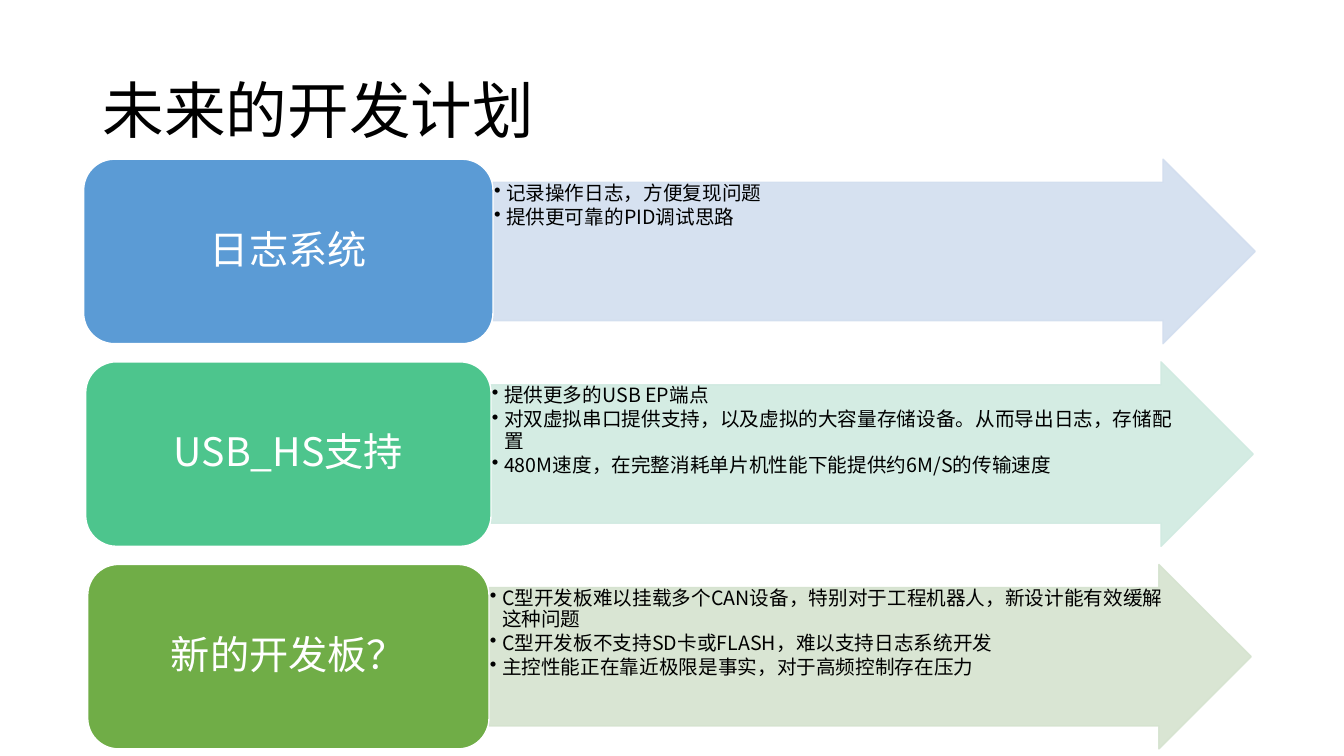
from dataclasses import dataclass

from lxml import etree
from pptx import Presentation
from pptx import util as u
from pptx.dml.color import RGBColor
from pptx.enum import shapes, text
from pptx.oxml.ns import qn


@dataclass(frozen=True)
class Theme:
    font: str = "Noto Sans CJK JP"
    ink: str = "000000"
    paper: str = "FFFFFF"
    title_size: float = 44
    label_size: float = 28
    detail_size: float = 14
    line_width: float = 1
    arrow_opacity: int = 90


@dataclass(frozen=True)
class Plan:
    label: str
    details: tuple[str, ...]
    label_color: str
    arrow_color: str


THEME = Theme()
PLANS = (
    Plan("日志系统",
         ("记录操作日志，方便复现问题", "提供更可靠的PID调试思路"),
         "5B9BD5", "D2DEEF"),
    Plan("USB_HS支持",
         ("提供更多的USB EP端点",
          "对双虚拟串口提供支持，以及虚拟的大容量存储设备。从而导出日志，存储配置",
          "480M速度，在完整消耗单片机性能下能提供约6M/S的传输速度"),
         "4DC58D", "D0EAE1"),
    Plan("新的开发板？",
         ("C型开发板难以挂载多个CAN设备，特别对于工程机器人，新设计能有效缓解这种问题",
          "C型开发板不支持SD卡或FLASH，难以支持日志系统开发",
          "主控性能正在靠近极限是事实，对于高频控制存在压力"),
         "70AD47", "D5E3CF"),
)
FIRST_TOP, ROW_PITCH, ROW_HEIGHT = 1.58, 2.01, 1.83
ARROW_WIDTH = 7.56


def style_paragraph(paragraph, size: float, color: str) -> None:
    paragraph.line_spacing = 0.9
    font = paragraph.font
    font.name, font.size = THEME.font, u.Pt(size)
    font.color.rgb = RGBColor.from_string(color)
    # East Asian characters need their own typeface entry
    defaults = paragraph._p.pPr.find(qn("a:defRPr"))
    etree.SubElement(defaults, qn("a:ea"), typeface=THEME.font)


def set_frame(frame, anchor, side: float, vertical: float) -> None:
    frame.word_wrap = True
    frame.vertical_anchor = anchor
    frame.margin_left = frame.margin_right = u.Inches(side)
    frame.margin_top = frame.margin_bottom = u.Inches(vertical)


def add_block(slide, preset, left: float, top: float, width: float, fill: str, line: str):
    block = slide.shapes.add_shape(preset, u.Inches(left), u.Inches(top),
                                   u.Inches(width), u.Inches(ROW_HEIGHT))
    block.shadow.inherit = False
    block.fill.solid()
    block.fill.fore_color.rgb = RGBColor.from_string(fill)
    block.line.color.rgb = RGBColor.from_string(line)
    block.line.width = u.Pt(THEME.line_width)
    return block


def add_title(slide, wording: str) -> None:
    title = slide.shapes.add_textbox(u.Inches(0.92), u.Inches(0.4),
                                     u.Inches(11.5), u.Inches(1.45))
    set_frame(title.text_frame, text.MSO_ANCHOR.MIDDLE, 0.1, 0.05)
    title.text_frame.text = wording
    style_paragraph(title.text_frame.paragraphs[0], THEME.title_size, THEME.ink)


def add_details(slide, plan: Plan, left: float, top: float) -> None:
    arrow = add_block(slide, shapes.MSO_SHAPE.RIGHT_ARROW, left, top, ARROW_WIDTH,
                      plan.arrow_color, plan.arrow_color)
    arrow.adjustments[0], arrow.adjustments[1] = 0.75, 0.5
    for color in arrow._element.spPr.iter(qn("a:srgbClr")):
        etree.SubElement(color, qn("a:alpha"), val=str(THEME.arrow_opacity * 1000))

    frame = arrow.text_frame
    set_frame(frame, text.MSO_ANCHOR.TOP, 0.01, 0.01)
    frame.text = "\n".join(plan.details)
    for paragraph in frame.paragraphs:
        paragraph.level = 1
        paragraph.alignment = text.PP_ALIGN.LEFT
        paragraph.space_after = u.Pt(2.1)
        properties = paragraph._p.get_or_add_pPr()
        properties.set("marL", str(u.Inches(0.12)))
        properties.set("indent", str(u.Inches(-0.12)))
        etree.SubElement(properties, qn("a:buChar"), char="•")
        style_paragraph(paragraph, THEME.detail_size, THEME.ink)


def add_label(slide, plan: Plan, left: float, top: float, width: float) -> None:
    label = add_block(slide, shapes.MSO_SHAPE.ROUNDED_RECTANGLE, left, top, width,
                      plan.label_color, THEME.paper)
    set_frame(label.text_frame, text.MSO_ANCHOR.MIDDLE, 0.12, 0.06)
    label.text_frame.text = plan.label
    paragraph = label.text_frame.paragraphs[0]
    paragraph.alignment = text.PP_ALIGN.CENTER
    style_paragraph(paragraph, THEME.label_size, THEME.paper)


def main() -> None:
    deck = Presentation()
    deck.slide_width, deck.slide_height = u.Inches(13.33), u.Inches(7.5)
    slide = deck.slides.add_slide(deck.slide_layouts[6])

    add_title(slide, "未来的开发计划")

    # Each row narrows slightly from both ends
    for row, plan in enumerate(PLANS):
        top = FIRST_TOP + row * ROW_PITCH
        add_details(slide, plan, 4.89 - 0.02 * row, top)
        add_label(slide, plan, 0.83 + 0.02 * row, top, 4.06 - 0.04 * row)

    deck.save("out.pptx")


if __name__ == "__main__":
    main()
